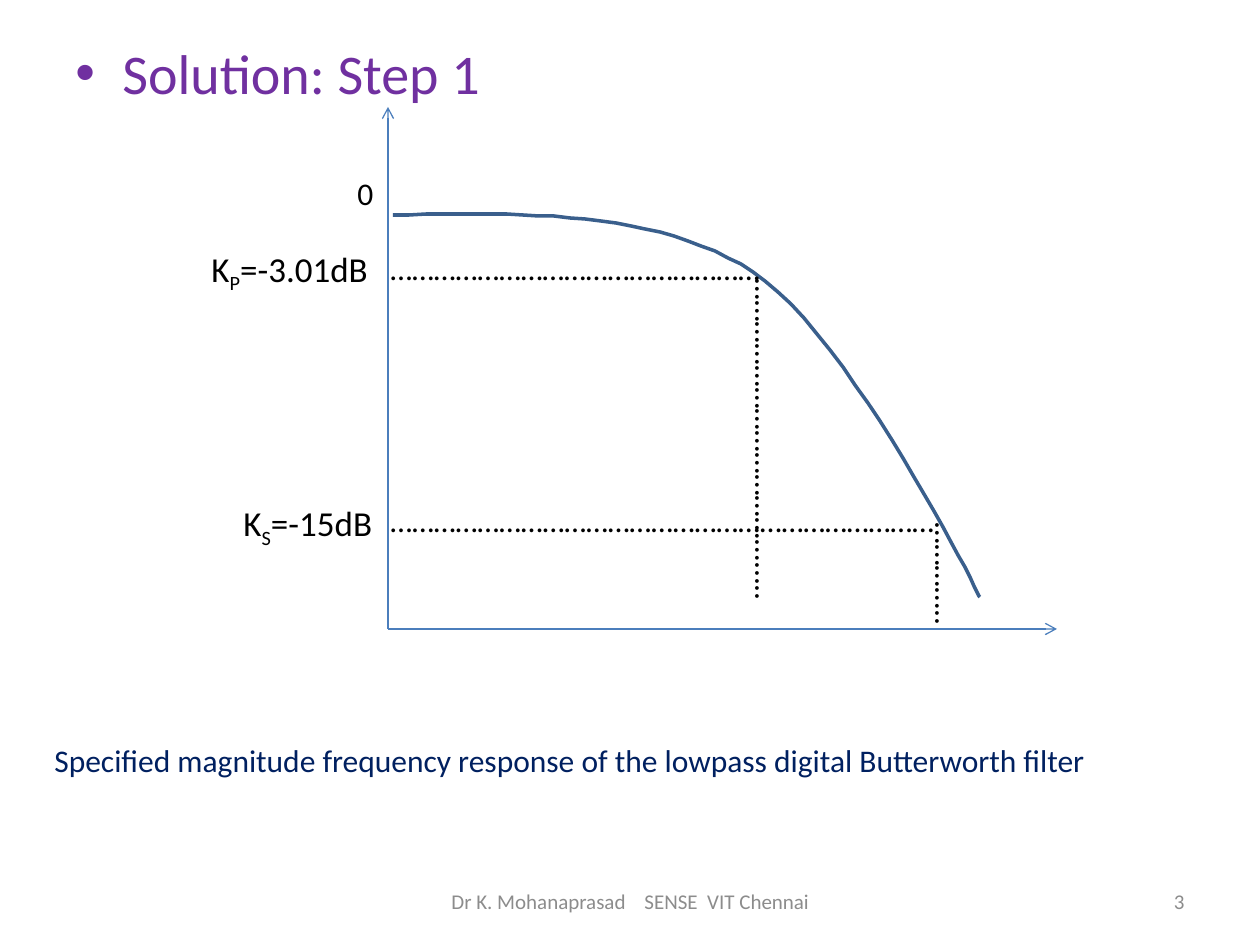
from lxml import etree
from pptx import Presentation
from pptx.dml.color import RGBColor
from pptx.enum.shapes import MSO_CONNECTOR
from pptx.enum.text import MSO_ANCHOR, PP_ALIGN
from pptx.oxml.ns import qn
from pptx.util import Pt

PX = 914400 / 126
STRAIGHT = MSO_CONNECTOR.STRAIGHT
TOP, MIDDLE = MSO_ANCHOR.TOP, MSO_ANCHOR.MIDDLE
LEFT, CENTER, RIGHT = PP_ALIGN.LEFT, PP_ALIGN.CENTER, PP_ALIGN.RIGHT
PURPLE = RGBColor(0x70, 0x30, 0xA0)
NAVY = RGBColor(0x00, 0x20, 0x60)
BLACK = RGBColor(0, 0, 0)
GREY = RGBColor(0x8C, 0x8C, 0x8C)
AXIS_BLUE = RGBColor(0x4B, 0x7E, 0xBC)
CURVE_BLUE = RGBColor(0x3A, 0x5F, 0x8C)

ORIGIN = (388, 629)
AXIS_ENDS = [(1057, 629), (388, 107)]
RESPONSE = [
    [(393, 215), (524, 213), (655, 209), (753, 272)],
    [(753, 272), (851, 336), (980, 597), (980, 597)],
]
GAIN_LABELS = [
    ((199, 241, 209, 55), "P", "=-3.01dB"),
    ((231, 495, 168, 55), "S", "=-15dB"),
]
GUIDES = [
    ((378, 243, 415, 59), "……………………………………………", 0),
    ((561, 446, 412, 52), "………………………………….....", 90),
    ((378, 495, 601, 59), "…………………………………………………………………", 0),
    ((863, 568, 168, 52), "…………..", 90),
]


def px(length):
    """Turn pixels into EMU."""
    return round(length * PX)


def add_text(shapes, box, *parts, size=18, color=BLACK, align=LEFT,
             anchor=TOP, rotation=0, bullet_indent=0):
    """Add a one-paragraph text box; a (text, baseline) part is shifted."""
    label = shapes.add_textbox(*map(px, box))
    label.rotation = rotation
    frame = label.text_frame
    frame.word_wrap = True
    frame.vertical_anchor = anchor
    paragraph = frame.paragraphs[0]
    paragraph.alignment = align
    if bullet_indent:
        properties = paragraph._p.get_or_add_pPr()
        properties.set("marL", str(px(bullet_indent)))
        properties.set("indent", str(-px(bullet_indent)))
        etree.SubElement(properties, qn("a:buFont"), typeface="Arial")
        etree.SubElement(properties, qn("a:buChar"), char="•")
    for part in parts:
        text, baseline = (part, 0) if isinstance(part, str) else part
        run = paragraph.add_run()
        run.text = text
        run.font.name = "Calibri"
        run.font.size = Pt(size)
        run.font.color.rgb = color
        if baseline:
            run._r.get_or_add_rPr().set("baseline", str(baseline * 1000))


def add_axis(shapes, start, end):
    """Add an axis with an open arrowhead at its end."""
    axis = shapes.add_connector(STRAIGHT, *map(px, start + end))
    axis.line.color.rgb = AXIS_BLUE
    axis.line.width = Pt(0.75)
    etree.SubElement(axis.line._get_or_add_ln(), qn("a:tailEnd"), type="arrow")
    etree.SubElement(axis._element.spPr, qn("a:effectLst"))


def bezier_point(controls, t):
    """Return the point at t on a cubic curve."""
    weights = ((1 - t) ** 3, 3 * t * (1 - t) ** 2, 3 * t ** 2 * (1 - t), t ** 3)
    return tuple(sum(w * value for w, value in zip(weights, values))
                 for values in zip(*controls))


def add_curve(shapes, segments, steps=24):
    """Add an open outline through the sampled cubic segments."""
    points = [bezier_point(segment, step / steps)
              for segment in segments for step in range(1, steps + 1)]
    builder = shapes.build_freeform(*segments[0][0], scale=PX)
    builder.add_line_segments(points, close=False)
    curve = builder.convert_to_shape()
    curve.shadow.inherit = False
    curve.fill.background()
    curve.line.color.rgb = CURVE_BLUE
    curve.line.width = Pt(2)


def add_response_plot(shapes):
    """Add the axes, response curve, gain labels and dotted guides."""
    for end in AXIS_ENDS:
        add_axis(shapes, ORIGIN, end)
    add_curve(shapes, RESPONSE)
    add_text(shapes, (345, 168, 32, 59), "0")
    for box, band, gain in GAIN_LABELS:
        add_text(shapes, box, "K", (band, -25), gain, size=20)
    for box, dots, rotation in GUIDES:
        add_text(shapes, box, dots, rotation=rotation)


def main():
    """Build the slide and save it."""
    deck = Presentation()
    deck.slide_width, deck.slide_height = px(1260), px(945)
    shapes = deck.slides.add_slide(deck.slide_layouts[6]).shapes
    add_text(shapes, (63, 32, 1134, 813), "Solution: Step 1",
             size=32, color=PURPLE, bullet_indent=47)
    add_response_plot(shapes.add_group_shape().shapes)
    add_text(shapes, (42, 735, 1095, 50),
             "Specified magnitude frequency response of the lowpass digital "
             "Butterworth filter", color=NAVY)
    add_text(shapes, (431, 876, 399, 50),
             "Dr K. Mohanaprasad    SENSE  VIT Chennai",
             size=12, color=GREY, align=CENTER, anchor=MIDDLE)
    add_text(shapes, (903, 876, 294, 50), "3",
             size=12, color=GREY, align=RIGHT, anchor=MIDDLE)
    deck.save("out.pptx")


if __name__ == "__main__":
    main()
